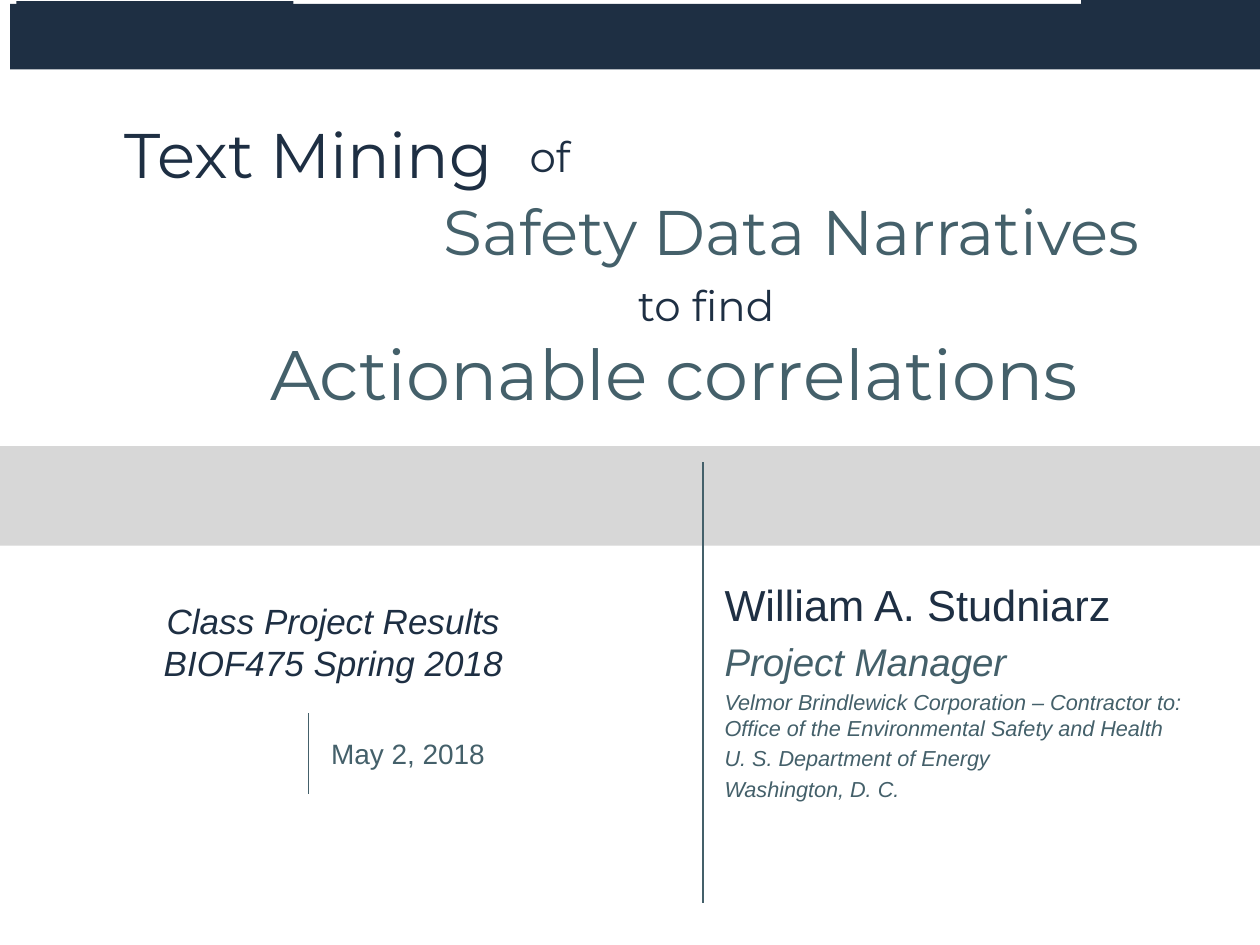
from lxml.etree import SubElement
from pptx import Presentation
from pptx.dml.color import RGBColor
from pptx.enum.shapes import MSO_CONNECTOR, MSO_SHAPE
from pptx.enum.text import MSO_ANCHOR, MSO_AUTO_SIZE, PP_ALIGN
from pptx.oxml.ns import qn
from pptx.util import Inches, Pt

NAVY = RGBColor(0x1E, 0x2F, 0x43)
TEAL = RGBColor(0x44, 0x60, 0x6A)
GRAY = RGBColor(0xD7, 0xD7, 0xD7)
HEADING, BODY = "Montserrat", "Arial"


def place(sp, box):
    sp.left, sp.top, sp.width, sp.height = (Inches(v) for v in box)


def style(p, size, color, name, align=PP_ALIGN.LEFT, italic=False):
    p.alignment = align
    font = p.font
    font.size, font.name, font.italic = Pt(size), name, italic
    font.color.rgb = color


def add_bar(s, box, color):
    sp = s.shapes.add_shape(MSO_SHAPE.RECTANGLE, *(Inches(v) for v in box))
    sp.fill.solid()
    sp.fill.fore_color.rgb = color
    sp.line.fill.background()
    sp.shadow.inherit = False


def add_rule(s, x, top, bottom):
    line = s.shapes.add_connector(
        MSO_CONNECTOR.STRAIGHT, Inches(x), Inches(top), Inches(x), Inches(bottom))
    line.line.color.rgb = TEAL
    line.line.width = Pt(0.75)
    SubElement(line._element.spPr, qn("a:effectLst"))


def add_text(s, box, text, *args, **kwargs):
    sp = s.shapes.add_textbox(*(Inches(v) for v in box))
    tf = sp.text_frame
    tf.word_wrap = True
    p = tf.paragraphs[0]
    p.text = text
    style(p, *args, **kwargs)


def add_header(s, left, top, right):
    add_bar(s, (left, top, right - left, 0.52), NAVY)
    for x, y, width in ((left + 0.05, 0.01, 1.87), (1.83, 0.01, 0.5), (8.58, 0, right - 8.58)):
        add_bar(s, (x, y, width, 0.4), NAVY)


def add_title(s, left, top):
    center = PP_ALIGN.CENTER
    lines = (
        (0, 0, 4.06, 0.71, "Text Mining", 36, NAVY, center),
        (3.36, 0.12, 1.17, 0.5, "of", 24, NAVY, center),
        (3, 0.61, 6.42, 0.71, "Safety Data Narratives", 36, TEAL, PP_ALIGN.LEFT),
        (4.06, 1.3, 2.25, 0.5, "to find", 24, NAVY, center),
    )
    for x, y, width, height, text, size, color, align in lines:
        add_text(s, (left + x, top + y, width, height), text, size, color, HEADING, align)
    title = s.shapes.title
    place(title, (left + 0.75, top + 1.79, 8.36, 0.59))
    tf = title.text_frame
    tf.auto_size = MSO_AUTO_SIZE.NONE
    tf.vertical_anchor = MSO_ANCHOR.MIDDLE
    p = tf.paragraphs[0]
    p.text = "Actionable correlations"
    style(p, 40, TEAL, HEADING, center)


def add_course(s, left, top):
    add_text(s, (left, top, 5.51, 0.77), "Class Project Results\vBIOF475 Spring 2018",
             20, NAVY, BODY, PP_ALIGN.CENTER, italic=True)
    add_rule(s, left + 2.56, top + 0.95, top + 1.59)
    add_text(s, (left + 2.64, top + 1.09, 2.72, 0.37), "May 2, 2018", 16, TEAL, BODY)


def add_author(s, box):
    subtitle = s.placeholders[1]
    place(subtitle, box)
    tf = subtitle.text_frame
    tf.auto_size = MSO_AUTO_SIZE.NONE
    tf.vertical_anchor = MSO_ANCHOR.TOP
    tf.margin_top = Inches(0.26)
    lines = (
        ("William A. Studniarz", 24.8, NAVY),
        ("Project Manager", 22, TEAL),
        ("Velmor Brindlewick Corporation – Contractor to:\v"
         "Office of the Environmental Safety and Health", 12.4, TEAL),
        ("U. S. Department of Energy", 12.4, TEAL),
        ("Washington, D. C.", 12.4, TEAL),
    )
    for i, (text, size, color) in enumerate(lines):
        p = tf.add_paragraph() if i else tf.paragraphs[0]
        p.text = text
        p.space_before = Pt(round(size * 0.2, 1) if i else 0)
        style(p, size, color, BODY, italic=i > 0)


def main():
    prs = Presentation()
    prs.slide_width, prs.slide_height = Inches(10), Inches(7.5)
    s = prs.slides.add_slide(prs.slide_layouts[0])
    add_header(s, 0.08, 0.03, 10)
    add_title(s, 0.42, 0.87)
    add_bar(s, (0, 3.54, 10, 0.79), GRAY)
    add_rule(s, 5.58, 3.67, 7.17)
    add_course(s, -0.11, 4.71)
    add_author(s, (5.65, 4.33, 4.17, 2.4))
    prs.save("out.pptx")


if __name__ == "__main__":
    main()
